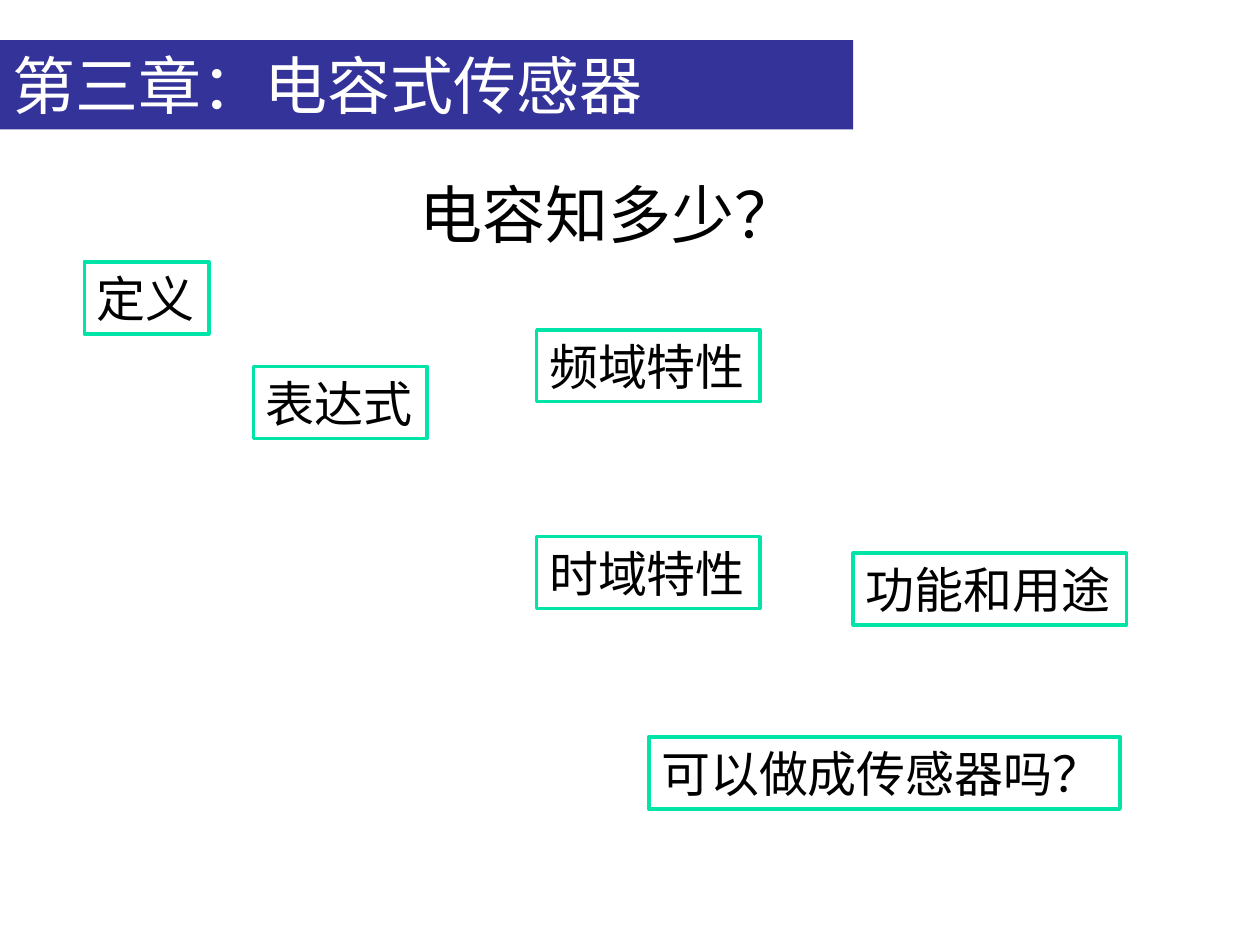
from pptx import Presentation
from pptx.dml.color import RGBColor
from pptx.enum.shapes import MSO_SHAPE as Shape
from pptx.enum.text import MSO_ANCHOR as Anchor, MSO_AUTO_SIZE as AutoSize, PP_ALIGN as Align
from pptx.util import Cm, Pt

CHAPTER = ("第三章：电容式传感器", 0, 0.81, 17.2)
QUESTION = ("电容知多少？", 8.2, 3.4, 8.2)
TOPICS = [
    ("定义", 1.7, 5.28, 2.51),
    ("表达式", 5.11, 7.39, 3.5),
    ("时域特性", 10.82, 10.82, 4.5),
    ("频域特性", 10.82, 6.65, 4.5),
    ("功能和用途", 17.2, 11.15, 5.51),
    ("可以做成传感器吗？", 13.08, 14.86, 9.5),
]
HEADING_HEIGHT, TOPIC_HEIGHT = 1.8, 1.45
FRAME_FORMAT = {"auto_size": AutoSize.NONE, "vertical_anchor": Anchor.MIDDLE}


def color(code):
    return RGBColor.from_string(code)


def write(box, words, size, font, ink, wrap):
    frame = box.text_frame
    for name, value in {**FRAME_FORMAT, "word_wrap": wrap}.items():
        setattr(frame, name, value)
    paragraph = frame.paragraphs[0]
    paragraph.alignment = Align.LEFT
    run = paragraph.add_run()
    run.text = words
    for name, value in {"size": Pt(size), "name": font}.items():
        setattr(run.font, name, value)
    run.font.color.rgb = color(ink)


def add_panel(slide, item, height, fill, border=None):
    words, left, top, width = item
    panel = slide.shapes.add_shape(Shape.RECTANGLE, Cm(left), Cm(top), Cm(width), Cm(height))
    panel.shadow.inherit = False
    panel.fill.solid()
    panel.fill.fore_color.rgb = color(fill)
    if border:
        panel.line.color.rgb = color(border)
        panel.line.width = Pt(2)
    else:
        panel.line.fill.background()
    return panel


def main():
    deck = Presentation()
    deck.slide_width, deck.slide_height = Cm(25.4), Cm(19.05)
    slide = deck.slides.add_slide(deck.slide_layouts[6])

    banner = add_panel(slide, CHAPTER, HEADING_HEIGHT, "333399")
    write(banner, CHAPTER[0], 36, "Noto Sans CJK SC", "FFFFFF", True)

    for topic in TOPICS:
        card = add_panel(slide, topic, TOPIC_HEIGHT, "FFFFFF", "00E4A8")
        write(card, topic[0], 28, "Times New Roman", "000000", False)

    words, left, top, width = QUESTION
    question = slide.shapes.add_textbox(Cm(left), Cm(top), Cm(width), Cm(HEADING_HEIGHT))
    write(question, words, 36, "Roboto", "000000", False)

    deck.save("out.pptx")


if __name__ == "__main__":
    main()
